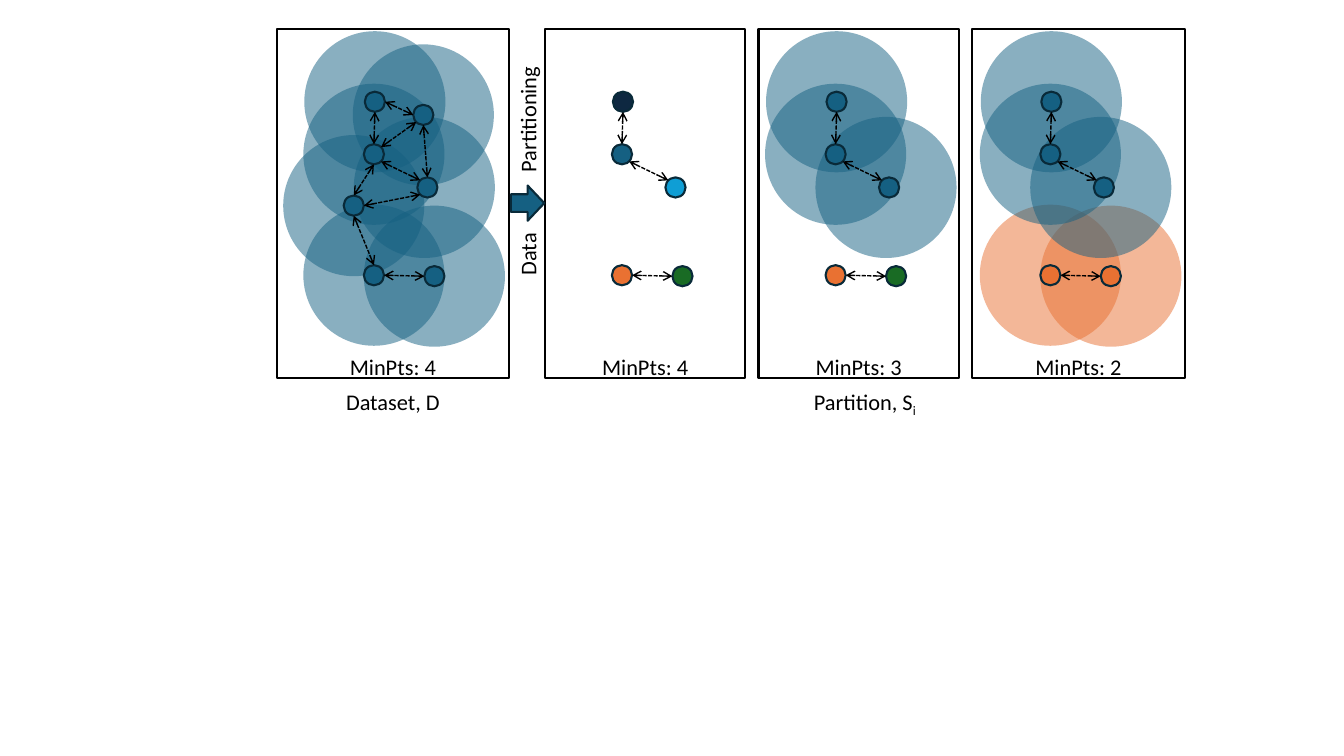
"""Draw a dataset and its partition at three MinPts settings."""
import pptx
import pptx.dml.color
import pptx.enum.dml
import pptx.enum.shapes
import pptx.enum.text
import pptx.oxml.ns
import pptx.util
from lxml import etree

Pt = pptx.util.Pt
RGB = pptx.dml.color.RGBColor
KIND = pptx.enum.shapes.MSO_SHAPE
ALIGN = pptx.enum.text.PP_ALIGN
qn = pptx.oxml.ns.qn

BLACK = RGB(0, 0, 0)
TEAL = RGB(0x15, 0x60, 0x82)
EDGE = RGB(0x09, 0x2A, 0x39)
NAVY = RGB(0x0E, 0x28, 0x41)
SKY = RGB(0x0F, 0x9E, 0xD5)
ORANGE = RGB(0xE9, 0x71, 0x32)
GREEN = RGB(0x19, 0x6B, 0x24)

NODES = {"a": (0.7, 72.7), "b": (0, 110.2), "c": (35.3, 82.1), "d": (38.2, 133.9),
         "e": (0, 196.6), "f": (43.2, 197.3), "g": (-14.4, 146.9)}
SHIFT = {"d": -2.2}
LINKS = [("g", "S", "e", "N"), ("g", "E", "d", "SW"), ("g", "N", "b", "S"),
         ("b", "N", "a", "S"), ("d", "NW", "b", "SE"), ("b", "NE", "c", "SW"),
         ("c", "S", "d", "N"), ("a", "E", "c", "W"), ("f", "W", "e", "E")]
PANELS = [
    {"left": 197.9, "width": 165.6, "base": 267.1, "label": "MinPts: 4",
     "tints": dict.fromkeys("abcdefg", TEAL), "halos": "fgaedcb"},
    {"left": 389.2, "width": 143.3, "base": 444.3, "label": "MinPts: 4",
     "tints": {"a": NAVY, "b": TEAL, "d": SKY, "e": ORANGE, "f": GREEN}, "halos": ""},
    {"left": 541.8, "width": 143.3, "base": 596.9, "label": "MinPts: 3",
     "tints": {"a": TEAL, "b": TEAL, "d": TEAL, "e": ORANGE, "f": GREEN}, "halos": "adb"},
    {"left": 694.4, "width": 151.9, "base": 750.3, "label": "MinPts: 2",
     "tints": {"a": TEAL, "b": TEAL, "d": TEAL, "e": ORANGE, "f": ORANGE}, "halos": "faedb"},
]
TOP, HEIGHT = 20.7, 249.1
LABEL, TITLE, ROW = 248.4, 273.6, 26.6
NODE, HALO = 7.2, 50.4
DIAG = NODE * 0.5 ** 0.5
SITES = {"N": (0, -NODE), "S": (0, NODE), "E": (NODE, 0), "W": (-NODE, 0),
         "NE": (DIAG, -DIAG), "NW": (-DIAG, -DIAG), "SE": (DIAG, DIAG), "SW": (-DIAG, DIAG)}


def draw(kind, box, fill=None, edge=None):
    shape = shapes.add_shape(kind, *map(Pt, box))
    shape.shadow.inherit = False
    if fill is None:
        shape.fill.background()
    else:
        shape.fill.solid()
        shape.fill.fore_color.rgb = fill
    if edge is None:
        shape.line.fill.background()
    else:
        shape.line.color.rgb = edge
        shape.line.width = Pt(1.5)
    return shape


def disc(x, y, size, fill, edge=None):
    return draw(KIND.OVAL, (x - size, y - size, 2 * size, 2 * size), fill, edge)


def halo(x, y, fill):
    shape = disc(x, y, HALO, fill)
    tint = shape.element.spPr.find(qn("a:solidFill"))[0]
    etree.SubElement(tint, qn("a:alpha"), val="50000")


def link(start, end):
    wire = shapes.add_connector(pptx.enum.shapes.MSO_CONNECTOR.STRAIGHT,
                                *map(Pt, start + end))
    wire.line.color.rgb = BLACK
    wire.line.width = Pt(1)
    wire.line.dash_style = pptx.enum.dml.MSO_LINE.SQUARE_DOT
    props = wire.element.spPr
    for tip in ("a:headEnd", "a:tailEnd"):
        etree.SubElement(props.find(qn("a:ln")), qn(tip), type="arrow")
    etree.SubElement(props, qn("a:effectLst"))


def write(text, box, align=ALIGN.CENTER):
    shape = shapes.add_textbox(*map(Pt, box))
    shape.text_frame.word_wrap = True
    para = shape.text_frame.paragraphs[0]
    para.text = text
    para.alignment = align
    para.font.name = "Calibri"
    para.font.size = Pt(16)
    para.font.color.rgb = BLACK
    return shape, para


def panel(left, width, base, label, tints, halos):
    spots = {name: (base + NODES[name][0], NODES[name][1]) for name in tints}
    for name in halos:
        x, y = spots[name]
        halo(x + SHIFT.get(name, 0), y, tints[name])
    for name, (x, y) in spots.items():
        disc(x, y, NODE, tints[name], EDGE)
    draw(KIND.RECTANGLE, (left, TOP, width, HEIGHT), edge=BLACK)
    for one, out, two, into in LINKS:
        if one in spots and two in spots:
            link(*[tuple(map(sum, zip(spots[name], SITES[site])))
                   for name, site in ((one, out), (two, into))])
    write(label, (left, LABEL, width, ROW))


deck = pptx.Presentation()
deck.slide_width, deck.slide_height = Pt(960), Pt(540)
shapes = deck.slides.add_slide(deck.slide_layouts[6]).shapes

for item in PANELS:
    panel(**item)

draw(KIND.RIGHT_ARROW, (365, 132.5, 23.8, 25.2), TEAL, EDGE)
step, para = write("Data\tPartitioning", (285.1, 98.6, 183.6, ROW), ALIGN.LEFT)
step.rotation = 270
tabs = etree.Element(qn("a:tabLst"))
etree.SubElement(tabs, qn("a:tab"), pos=str(Pt(73.7)), algn="l")
para.font._element.addprevious(tabs)

first, second, last = PANELS[0], PANELS[1], PANELS[-1]
write("Dataset, D", (first["left"], TITLE, first["width"], ROW))
span = last["left"] + last["width"] - second["left"]
para = write("Partition, S", (second["left"], TITLE, span, ROW))[1]
sub = para.add_run()
sub.text = "i"
sub.font._element.set("baseline", "-25000")

deck.save("out.pptx")
